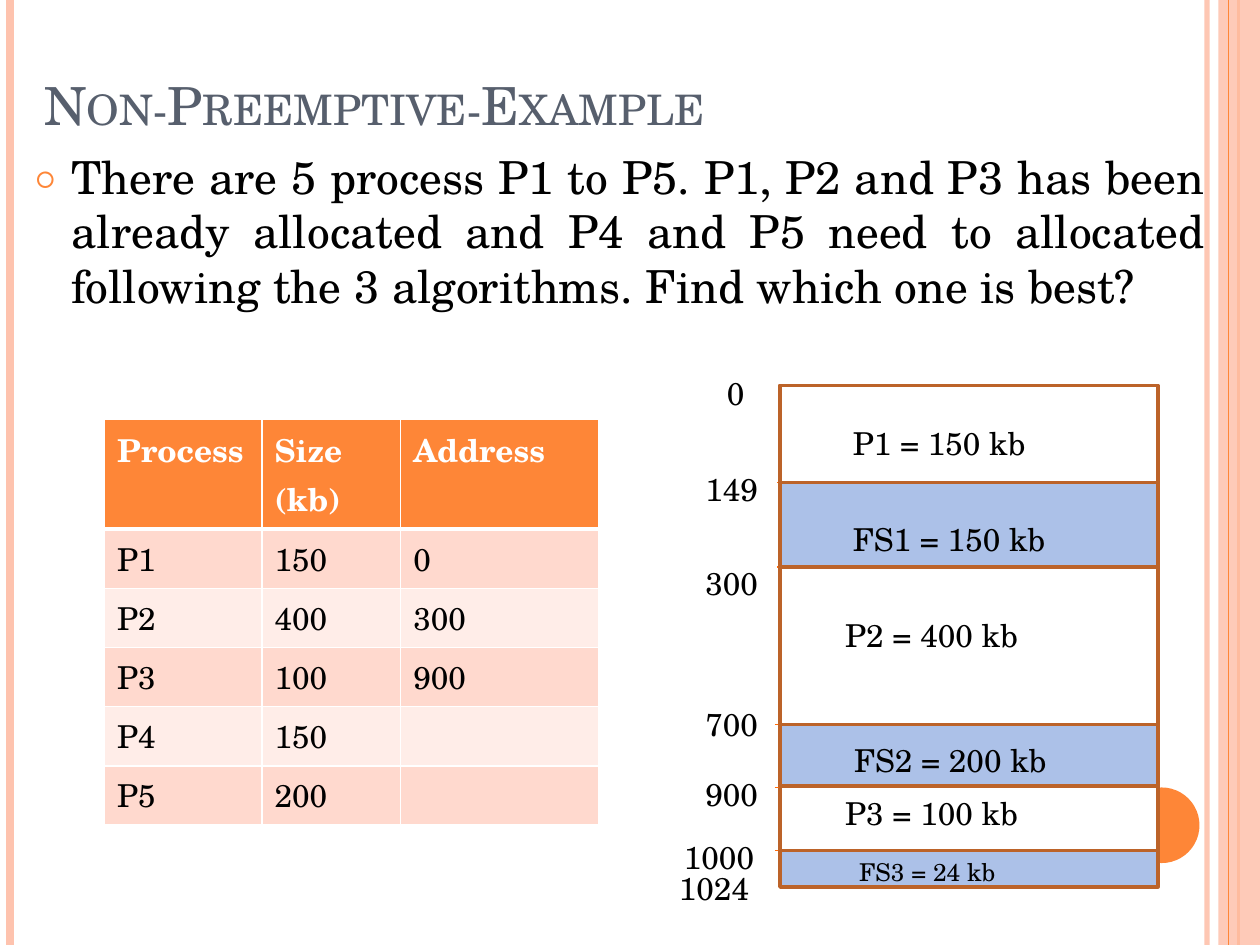
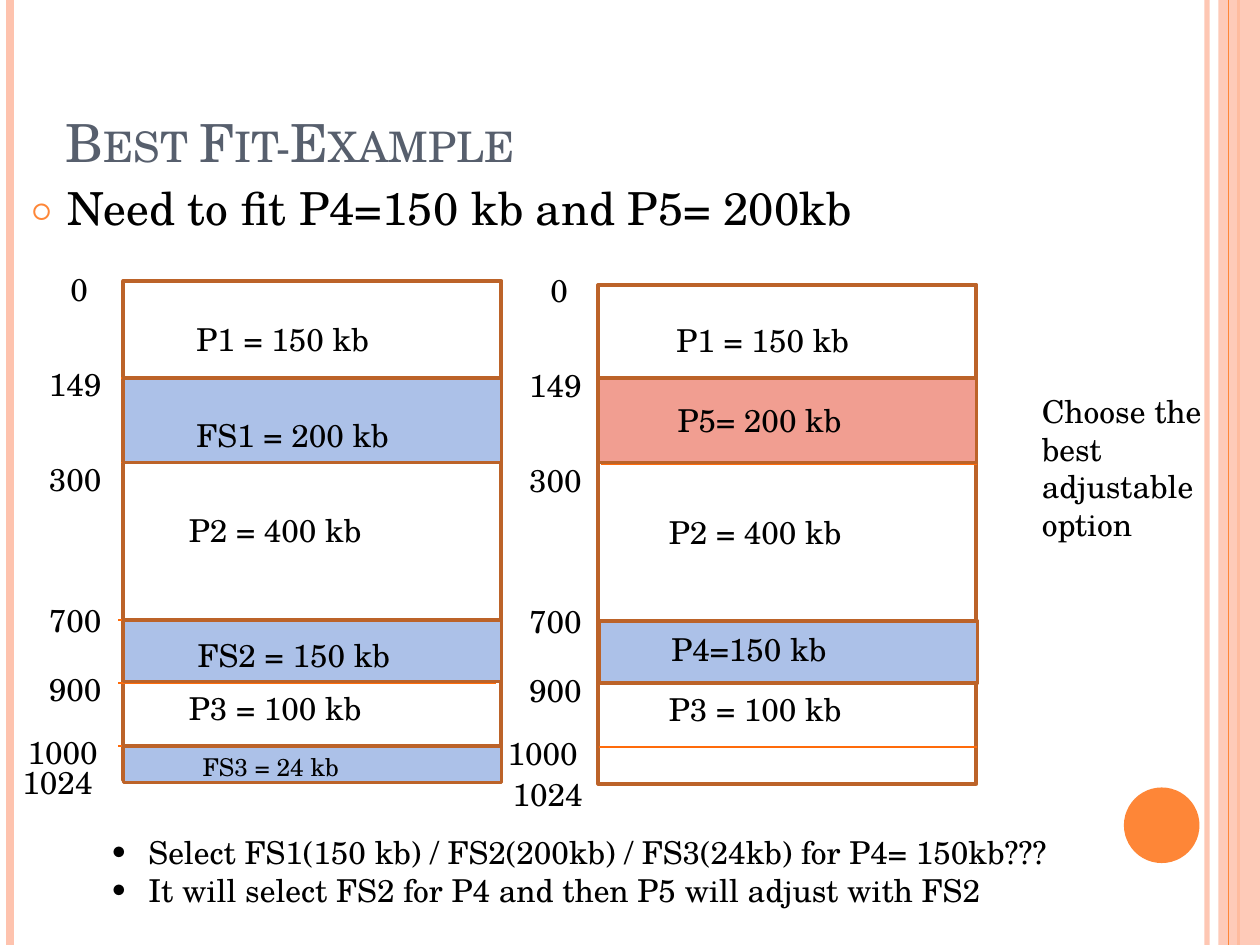
from lxml import etree
from pptx import Presentation
from pptx import util as u
from pptx.dml.color import RGBColor
from pptx.enum import shapes, text
from pptx.oxml import ns

PX = 9144  # 100 px to the inch
FONT = "TeX Gyre Schola"
BLACK = RGBColor(0, 0, 0)
WHITE = RGBColor(0xFF, 0xFF, 0xFF)
SLATE = RGBColor(0x57, 0x5F, 0x6D)
ORANGE = RGBColor(0xFE, 0x86, 0x37)
PEACH = RGBColor(0xFE, 0xC3, 0xAE)
BROWN = RGBColor(0xBC, 0x63, 0x29)
RULE = RGBColor(0xFF, 0x6B, 0x0A)
BLUE = RGBColor(0xAC, 0xC1, 0xE8)
RED = RGBColor(0xF1, 0x9E, 0x91)
ROW_DARK = RGBColor(0xFF, 0xD9, 0xCE)
ROW_LIGHT = RGBColor(0xFF, 0xED, 0xE8)

# Memory map parts, relative to the map's corner
ADDRESSES = [("0", -52, -14, 38), ("149", -69, 62, 75), ("300", -69, 137, 75),
             ("700", -69, 249, 75), ("900", -69, 304, 75), ("1000", -86, 354, 88)]
PROCESSES = [("P1 = 150 kb", 48, 26), ("P2 = 400 kb", 42, 178),
             ("P3 = 100 kb", 42, 319)]
RULES = [(-2, 77), (-2, 144), (-4, 269), (-4, 319), (-4, 369)]


def emu(*lengths):
    return [u.Emu(n * PX) for n in lengths]


def child(parent, tag, **attrs):
    el = etree.SubElement(parent, ns.qn(tag))
    for key, value in attrs.items():
        el.set(key, str(value))
    return el


def set_alpha(element, percent):
    colour = next(element.iter(ns.qn("a:srgbClr")))
    child(colour, "a:alpha", val=percent * 1000)


class Deck:
    def __init__(self):
        self.prs = Presentation()
        self.prs.slide_width, self.prs.slide_height = emu(1000, 750)
        self.s = None

    def slide(self, title, x, y):
        self.s = self.prs.slides.add_slide(self.prs.slide_layouts[5])
        # Side bands and the page dot
        self.line(958, 0, 958, 750, PEACH, 3, alpha=93)
        self.line(8, 0, 8, 750, PEACH, 4.5)
        self.line(983, 0, 983, 750, ORANGE, 1.5)
        band = self.shape(967, 0, 33, 750, PEACH)
        set_alpha(band._element.spPr, 87)
        self.line(975, 0, 975, 750, ORANGE, 0.75)
        self.shape(892, 625, 60, 60, ORANGE, kind=shapes.MSO_SHAPE.OVAL)
        # Title
        sp = self.s.shapes.title
        sp.left, sp.top, sp.width, sp.height = emu(x, y, 900, 117)
        tf = sp.text_frame
        tf.text = title
        tf.vertical_anchor = text.MSO_ANCHOR.BOTTOM
        tf.paragraphs[0].alignment = text.PP_ALIGN.LEFT
        self.style(tf, 30, SLATE)
        tf.paragraphs[0].runs[0].font._element.set("cap", "small")

    def style(self, tf, size, colour=BLACK, bold=False):
        for p in tf.paragraphs:
            for r in p.runs:
                r.font.name, r.font.size, r.font.bold = FONT, u.Pt(size), bold
                r.font.color.rgb = colour

    def line(self, x1, y1, x2, y2, colour, width, alpha=None):
        c = self.s.shapes.add_connector(
            shapes.MSO_CONNECTOR.STRAIGHT, *emu(x1, y1, x2, y2))
        c.line.color.rgb = colour
        c.line.width = u.Pt(width)
        if alpha:
            set_alpha(c._element.spPr, alpha)
        child(c._element.spPr, "a:effectLst")

    def shape(self, x, y, w, h, fill, line=None, width=2,
              kind=shapes.MSO_SHAPE.RECTANGLE):
        sp = self.s.shapes.add_shape(kind, *emu(x, y, w, h))
        sp.shadow.inherit = False
        sp.fill.solid()
        sp.fill.fore_color.rgb = fill
        if line is None:
            sp.line.fill.background()
        else:
            sp.line.color.rgb = line
            sp.line.width = u.Pt(width)
        return sp

    def label(self, words, x, y, w, h=40, size=18):
        sp = self.s.shapes.add_textbox(*emu(x, y, w, h))
        tf = sp.text_frame
        tf.word_wrap = True
        tf.text = words
        self.style(tf, size)
        return tf

    def bullet(self, p, char, indent, colour=None, percent=100):
        pPr = p._p.get_or_add_pPr()
        pPr.set("marL", str(indent * PX))
        pPr.set("indent", str(-indent * PX))
        if colour is not None:
            child(child(pPr, "a:buClr"), "a:srgbClr", val=colour)
        child(pPr, "a:buSzPct", val=percent * 1000)
        child(pPr, "a:buFont", typeface=FONT)
        child(pPr, "a:buChar", char=char)

    def body(self, words, x, y, h):
        p = self.label(words, x, y, 950, h, size=26).paragraphs[0]
        p.alignment = text.PP_ALIGN.JUSTIFY
        p.space_before = u.Pt(6)
        self.bullet(p, "○", 30, ORANGE, 70)

    def table(self, rows, x, y, widths, heights):
        frame = self.s.shapes.add_table(
            len(rows), len(widths), *emu(x, y, sum(widths), sum(heights)))
        table = frame.table
        table.first_row = table.horz_banding = False
        for col, w in zip(table.columns, emu(*widths)):
            col.width = w
        for i, (row, h) in enumerate(zip(rows, emu(*heights))):
            table.rows[i].height = h
            for j, words in enumerate(row):
                self.cell(table.cell(i, j), words, i)

    def cell(self, cell, words, row):
        tcPr = cell._tc.get_or_add_tcPr()
        thick = {0: "a:lnB", 1: "a:lnT"}.get(row)
        for tag in ("a:lnL", "a:lnR", "a:lnT", "a:lnB"):
            ln = child(tcPr, tag, w=u.Pt(3 if tag == thick else 1))
            child(child(ln, "a:solidFill"), "a:srgbClr", val=WHITE)
        head = row == 0
        cell.fill.solid()
        cell.fill.fore_color.rgb = ORANGE if head else (ROW_LIGHT, ROW_DARK)[row % 2]
        tf = cell.text_frame
        tf.text = words
        self.style(tf, 18, WHITE if head else BLACK, head)

    def memory_map(self, x, y, blocks, end, frame=(0, 0)):
        """blocks: (dx, dy, height, colour, label, label dx, label dy, size)"""
        self.shape(x + frame[0], y + frame[1], 300, 396, WHITE, BROWN, 2.25)
        for dx, dy in RULES:
            self.line(x + dx, y + dy, x + 296, y + dy, RULE, 1)
        for words, dx, dy, w in ADDRESSES + [("1024", *end, 88)]:
            self.label(words, x + dx, y + dy, w)
        for words, dx, dy in PROCESSES:
            self.label(words, x + dx, y + dy, 208)
        for dx, dy, h, colour, words, tx, ty, size in blocks:
            self.shape(x + dx, y + dy, 300, h, colour, BROWN)
            self.label(words, x + tx, y + ty, 175, size=size)


def free_spaces(first, second):
    return [(0, 77, 67, BLUE, f"FS1 = {first} kb", 48, 102, 18),
            (0, 269, 49, BLUE, f"FS2 = {second} kb", 49, 277, 18),
            (0, 369, 29, BLUE, "FS3 = 24 kb", 53, 369, 14)]


def main():
    d = Deck()

    # Slide 1: the problem
    d.slide("Non-Preemptive-Example", 25, -4)
    d.body("There are 5 process P1 to P5. P1, P2 and P3 has been already "
           "allocated and P4 and P5 need to allocated following the 3 "
           "algorithms. Find which one is best?", 17, 113, 154)
    d.table([("Process", "Size (kb)", "Address"),
             ("P1", "150", "0"), ("P2", "400", "300"), ("P3", "100", "900"),
             ("P4", "150", ""), ("P5", "200", "")],
            83, 333, [125, 110, 157], [87] + [47] * 5)
    d.memory_map(619, 306, free_spaces(150, 200), end=(-90, 379))

    # Slide 2: best fit, before and after
    d.slide("Best Fit-Example", 42, 25)
    d.body("Need to fit P4=150 kb and P5= 200kb", 14, 138, 67)
    placed = [(-4, 76, 67, RED, "P5= 200 kb", 49, 89, 18),
              (-3, 269, 49, BLUE, "P4=150 kb", 44, 271, 18)]
    d.memory_map(479, 224, placed, end=(-82, 386), frame=(-4, 2))
    d.memory_map(98, 223, free_spaces(200, 150), end=(-90, 378))
    d.label("Choose the best adjustable option", 817, 306, 150, 131)
    tf = d.label("Select FS1(150 kb) / FS2(200kb) / FS3(24kb) for P4= 150kb???\n"
                 "It will select FS2 for P4 and then P5 will adjust with FS2",
                 77, 656, 890, 101)
    for p in tf.paragraphs:
        d.bullet(p, "•", 31)

    d.prs.save("out.pptx")


if __name__ == "__main__":
    main()
